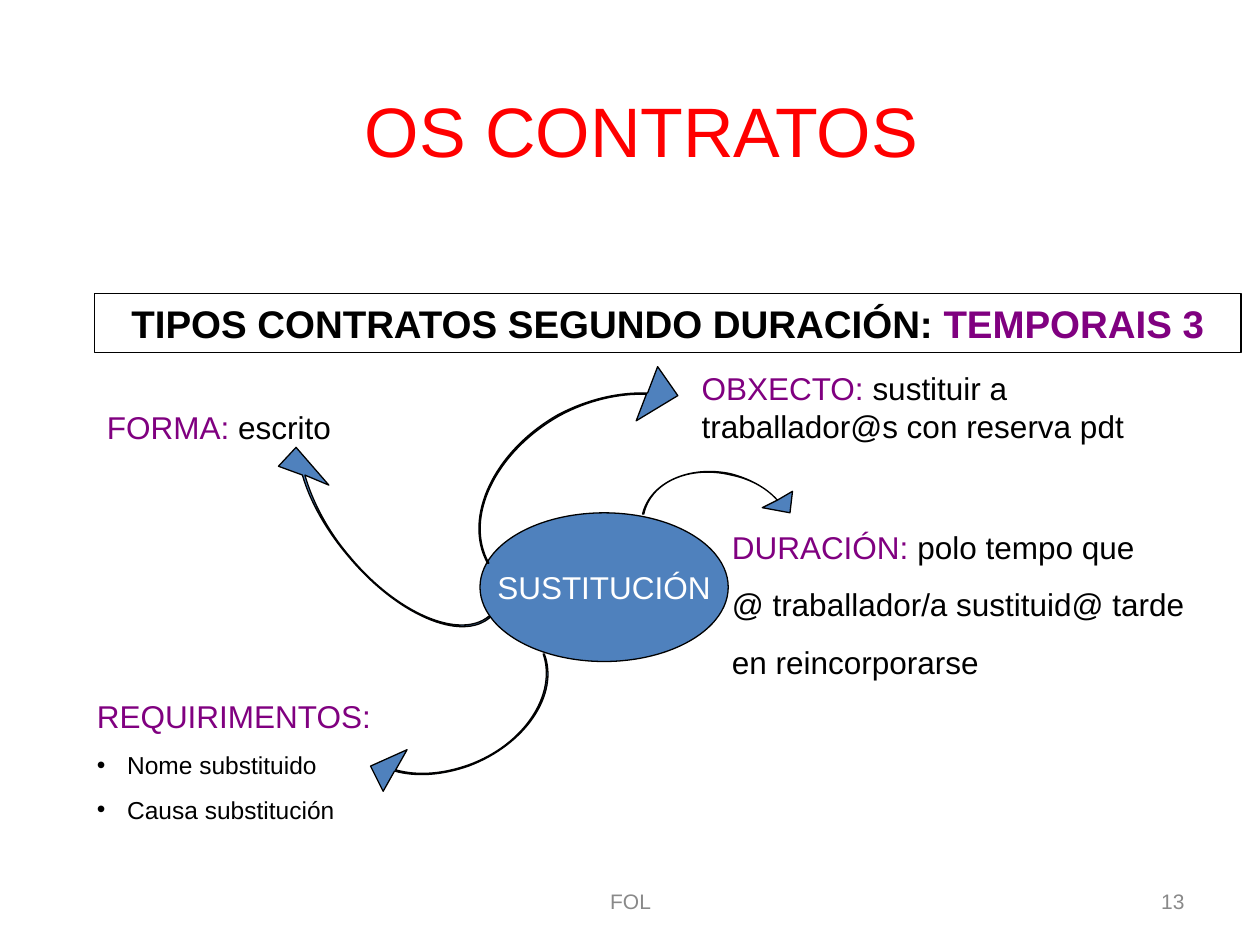
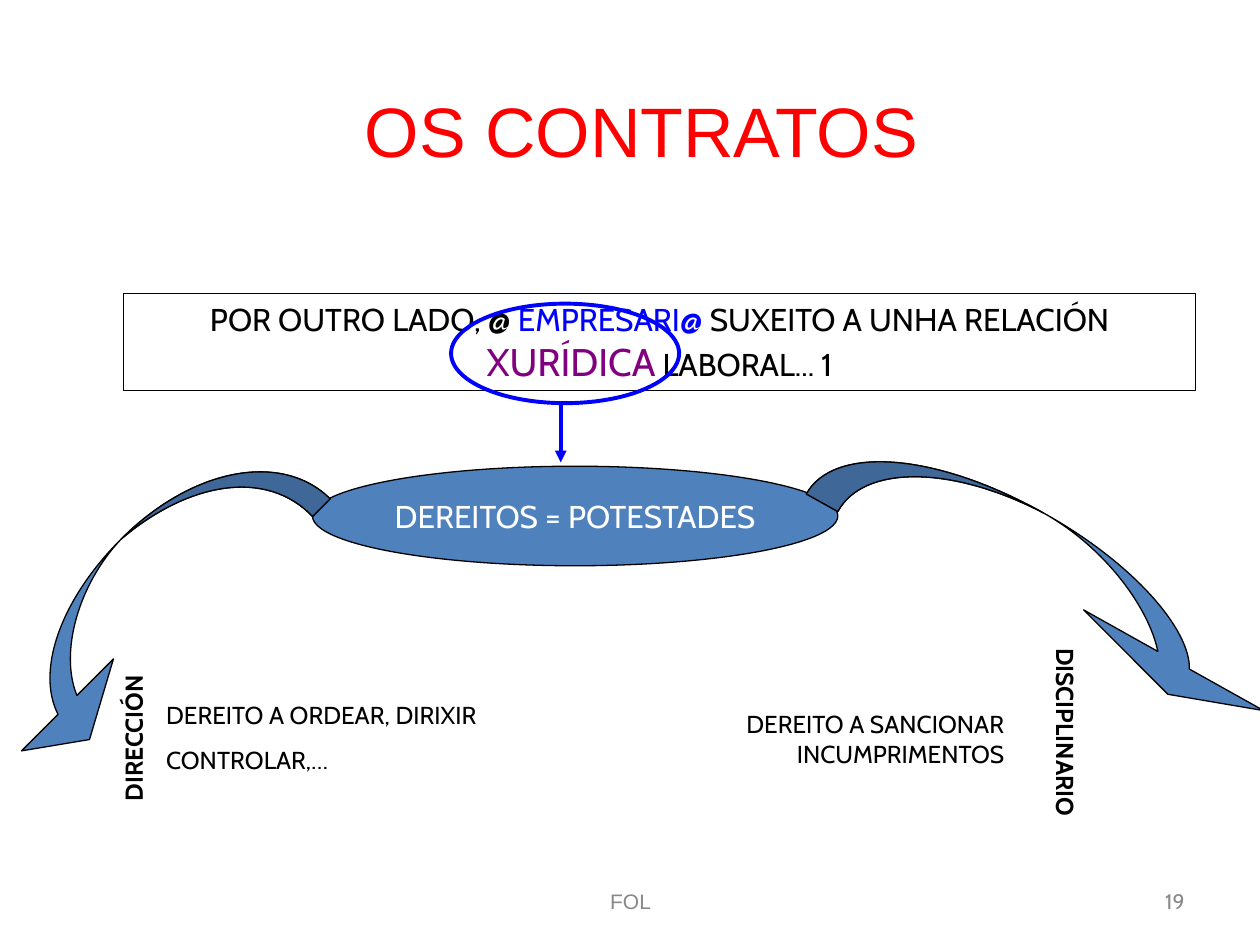
from dataclasses import dataclass
from math import cos, radians, sin
from typing import NamedTuple

from lxml import etree
from pptx import Presentation
from pptx.dml.color import RGBColor
from pptx.enum.shapes import MSO_CONNECTOR, MSO_SHAPE
from pptx.enum.text import MSO_ANCHOR, PP_ALIGN
from pptx.oxml.ns import qn
from pptx.util import Cm, Length, Pt

RECT, OVAL = MSO_SHAPE.RECTANGLE, MSO_SHAPE.OVAL
STRAIGHT = MSO_CONNECTOR.STRAIGHT
LEFT, MID, RIGHT = PP_ALIGN.LEFT, PP_ALIGN.CENTER, PP_ALIGN.RIGHT
TOP, CORE = MSO_ANCHOR.TOP, MSO_ANCHOR.MIDDLE
ARIAL, CABIN = "Arial", "Cabin"
CM_PER_INCH = 2.54
COLORS = {
    "black": "000000", "white": "FFFFFF", "red": "FF0000", "gray": "898989",
    "plum": "800080", "blue": "0000FF", "steel": "4F81BD",
}

Seg = tuple[float, ...]
Rect = tuple[float, float, float, float]


class Run(NamedTuple):
    text: str
    color: str = "black"
    size: float = 18
    bold: bool = False


class Para(NamedTuple):
    runs: list[Run]
    before: float = 11.2
    bullet: bool = False


@dataclass
class Block:
    at: Rect
    paras: list[Para]
    font: str = ARIAL
    align: PP_ALIGN = LEFT
    anchor: MSO_ANCHOR = TOP
    wrap: bool = True
    turn: float = 0
    kind: MSO_SHAPE | None = None
    fill: str | None = None
    line: str = "black"
    weight: float = 0.75


@dataclass
class Curve:
    at: Rect
    turn: float
    segs: list[Seg]
    fold: bool = False


def size(value: float) -> Length:
    return Cm(value * CM_PER_INCH)


def tint(name: str) -> RGBColor:
    return RGBColor.from_string(COLORS[name])


def put(target, values: dict) -> None:
    for name, value in values.items():
        setattr(target, name, value)


def paint(shape, fill: str | None, line: str, weight: float) -> None:
    shape.shadow.inherit = False
    if fill:
        shape.fill.solid()
        shape.fill.fore_color.rgb = tint(fill)
    else:
        shape.fill.background()
    shape.line.color.rgb = tint(line)
    shape.line.width = Pt(weight)


def mark(para) -> None:
    props = para._p.get_or_add_pPr()
    gap = size(0.24)
    props.set("marL", str(gap))
    props.set("indent", str(-gap))
    etree.SubElement(props, qn("a:buFont")).set("typeface", ARIAL)
    etree.SubElement(props, qn("a:buChar")).set("char", "•")


def write(frame, block: Block) -> None:
    put(frame, {
        "word_wrap": block.wrap, "vertical_anchor": block.anchor,
        "margin_left": size(0.1), "margin_right": size(0.1),
        "margin_top": size(0.05), "margin_bottom": size(0.05),
    })
    for i, item in enumerate(block.paras):
        para = frame.add_paragraph() if i else frame.paragraphs[0]
        put(para, {"alignment": block.align, "space_before": Pt(item.before)})
        if item.bullet:
            mark(para)
        for part in item.runs:
            run = para.add_run()
            run.text = part.text
            put(run.font, {"name": block.font, "size": Pt(part.size), "bold": part.bold})
            run.font.color.rgb = tint(part.color)


def draw(slide, block: Block) -> None:
    spot = [size(v) for v in block.at]
    if block.kind is None:
        shape = slide.shapes.add_textbox(*spot)
    else:
        shape = slide.shapes.add_shape(block.kind, *spot)
        paint(shape, block.fill, block.line, block.weight)
    shape.rotation = block.turn
    write(shape.text_frame, block)


def local(item: Curve, x: float, y: float) -> tuple[Length, Length]:
    left, top, wide, high = item.at
    dx, dy = x - left - wide / 2, y - top - high / 2
    c, s = cos(radians(item.turn)), sin(radians(item.turn))
    return size(dx * c + dy * s + wide / 2), size(dy * c - dx * s + high / 2)


def trace(parent, item: Curve, segs: list[Seg], shade: str) -> None:
    route = etree.SubElement(parent, qn("a:path"))
    put_size = {"w": item.at[2], "h": item.at[3]}
    for name, value in put_size.items():
        route.set(name, str(size(value)))
    route.set("fill", shade)
    for i, seg in enumerate(segs):
        tag = "a:cubicBezTo" if len(seg) == 6 else "a:lnTo" if i else "a:moveTo"
        step = etree.SubElement(route, qn(tag))
        for x, y in zip(seg[::2], seg[1::2]):
            dot = etree.SubElement(step, qn("a:pt"))
            for name, value in zip("xy", local(item, x, y)):
                dot.set(name, str(value))
    etree.SubElement(route, qn("a:close"))


def bend(slide, item: Curve) -> None:
    ends = [local(item, *seg[-2:]) for seg in item.segs]
    pen = slide.shapes.build_freeform(*ends[0])
    pen.add_line_segments(ends[1:], close=True)
    shape = pen.convert_to_shape()
    put(shape, dict(zip(("left", "top", "width", "height"), map(size, item.at))))
    shape.rotation = item.turn
    paint(shape, "steel", "black", 0.75)
    routes = shape._element.spPr.find(qn("a:custGeom")).find(qn("a:pathLst"))
    routes.clear()
    trace(routes, item, item.segs, "norm")
    if item.fold:
        trace(routes, item, item.segs[:2] + item.segs[-1:], "darkenLess")


def arrow(slide, start: tuple[float, float], end: tuple[float, float]) -> None:
    link = slide.shapes.add_connector(STRAIGHT, *map(size, start + end))
    link.line.color.rgb = tint("blue")
    link.line.width = Pt(2.25)
    etree.SubElement(link.line._get_or_add_ln(), qn("a:tailEnd")).set("type", "triangle")
    etree.SubElement(link._element.spPr, qn("a:effectLst"))


def plain(text: str, color: str = "black", points: float = 18,
          bold: bool = False, before: float = 0, bullet: bool = False) -> Para:
    return Para([Run(text, color, points, bold)], before, bullet)


def topic(head: str, text: str) -> Para:
    return Para([Run(head, "plum"), Run(text)])


def start(deck, number: str, font: str):
    slide = deck.slides.add_slide(deck.slide_layouts[6])
    for block in (
        Block((0.83, 0.23, 8.52, 1.6), [plain("OS CONTRATOS", "red", 40)],
              align=MID, anchor=CORE),
        Block((3.42, 6.95, 3.17, 0.4), [plain("FOL", "gray", 12)],
              align=MID, anchor=CORE),
        Block((7.17, 6.95, 2.33, 0.4), [plain(number, "gray", 12)], font,
              align=RIGHT, anchor=CORE),
    ):
        draw(slide, block)
    return slide


HUB = [
    Block((0.75, 2.33, 9.1, 0.47),
          [Para([Run("TIPOS CONTRATOS SEGUNDO DURACIÓN: ", "black", 22, True),
                 Run("TEMPORAIS 3", "plum", 22, True)], 0)],
          align=MID, anchor=CORE, wrap=False, kind=RECT),
    Block((3.81, 4.07, 1.97, 1.18), [plain("SUSTITUCIÓN", "white")],
          align=MID, anchor=CORE, wrap=False, kind=OVAL, fill="steel"),
]
TOPICS = [
    Block((5.71, 4.14, 5.08, 1.32),
          [topic("DURACIÓN: ", "polo tempo que"),
           plain("@ traballador/a sustituid@ tarde", before=11.2),
           plain("en reincorporarse", before=11.2)]),
    Block((0.75, 3.19, 3.31, 0.4), [topic("FORMA: ", "escrito")]),
    Block((0.67, 5.48, 4.49, 1.11),
          [plain("REQUIRIMENTOS:", "plum", before=11.2)]
          + [plain(text, points=14, before=8.8, bullet=True)
             for text in ("Nome substituido", "Causa substitución")]),
    Block((5.47, 2.88, 3.7, 0.7),
          [topic("OBXECTO: ", "sustituir a traballador@s con reserva pdt")]),
]
HOOKS = [
    Curve((2.09, 3.51, 2.19, 1.1), 230, [
        (2.42, 3.77), (2.48, 3.98, 2.6, 4.21, 2.77, 4.41),
        (3.15, 4.87, 3.65, 5.08, 3.88, 4.89), (3.89, 4.9),
        (3.66, 5.1, 3.15, 4.88, 2.76, 4.41), (2.59, 4.21, 2.46, 3.98, 2.4, 3.77),
        (2.21, 3.7), (2.35, 3.55), (2.61, 3.85)]),
    Curve((2.64, 4.85, 1.73, 1.26), 160, [
        (3.14, 6.11), (3.32, 6.16, 3.52, 6.14, 3.72, 6.07),
        (4.16, 5.91, 4.42, 5.51, 4.31, 5.19), (4.32, 5.19),
        (4.44, 5.51, 4.17, 5.91, 3.72, 6.08), (3.52, 6.15, 3.31, 6.17, 3.13, 6.12),
        (3.04, 6.28), (2.94, 6.08), (3.23, 5.95)]),
    Curve((5.08, 3.75, 1.23, 0.94), 13, [
        (6.17, 3.97), (6.08, 3.87, 5.95, 3.8, 5.8, 3.77),
        (5.47, 3.69, 5.16, 3.83, 5.11, 4.08), (5.1, 4.08),
        (5.16, 3.83, 5.47, 3.69, 5.8, 3.76), (5.95, 3.8, 6.08, 3.87, 6.17, 3.97),
        (6.29, 3.9), (6.27, 4.07), (6.05, 4.03)]),
    Curve((3.74, 3.2, 2.13, 1.52), 331, [
        (5.13, 3.13), (4.91, 3.12, 4.66, 3.18, 4.44, 3.3),
        (3.93, 3.59, 3.68, 4.11, 3.88, 4.47), (3.87, 4.47),
        (3.67, 4.11, 3.92, 3.58, 4.43, 3.29), (4.66, 3.17, 4.91, 3.11, 5.14, 3.12),
        (5.22, 2.91), (5.38, 3.14), (5.05, 3.34)]),
]

POWERS = [
    Block((0.98, 2.33, 8.51, 0.77),
          [Para([Run("POR OUTRO LADO, @ "), Run("EMPRESARI@", "blue"),
                 Run(" SUXEITO A UNHA RELACIÓN "), Run("XURÍDICA", "plum", 22),
                 Run(" LABORAL... 1")])], CABIN, align=MID, kind=RECT),
    Block((3.58, 2.41, 1.81, 0.79), [], kind=OVAL, line="blue", weight=2.25),
    Block((2.48, 3.7, 4.17, 0.79), [plain("DEREITOS = POTESTADES", "white")], CABIN,
          align=MID, anchor=CORE, wrap=False, kind=OVAL, fill="steel"),
]
RIGHTS = [
    Block((1.22, 5.51, 3.39, 0.69),
          [plain(text, points=14, before=8.8)
           for text in ("DEREITO A ORDEAR, DIRIXIR", "CONTROLAR,…")], CABIN),
    Block((0.31, 5.54, 1.5, 0.34), [plain("DIRECCIÓN", "black", 14, True, 8.8)],
          CABIN, turn=270),
    Block((7.25, 6.08, 2.41, 0.34), [plain("DISCIPLINARIO", "black", 14, True, 8.8)],
          CABIN, turn=90),
    Block((4.21, 5.58, 3.86, 0.57),
          [plain("DEREITO A SANCIONAR INCUMPRIMENTOS", points=14, before=8.8)],
          CABIN, align=RIGHT),
]
BANDS = [
    Curve((0.67, 3.15, 0.95, 3.23), 45, [
        (2.62, 3.96), (2.25, 3.59, 1.54, 3.7, 0.96, 4.28),
        (0.46, 4.78, 0.29, 5.34, 0.46, 5.67), (0.17, 5.96), (0.71, 5.87), (0.9, 5.23),
        (0.61, 5.52), (0.47, 5.18, 0.62, 4.64, 0.96, 4.28),
        (1.5, 3.82, 2.12, 3.72, 2.48, 4.1)], True),
    Curve((7.99, 2.52, 0.79, 4.1), 299, [
        (6.4, 3.92), (6.61, 3.54, 7.4, 3.58, 8.28, 4.07),
        (9, 4.47, 9.45, 5, 9.44, 5.31), (10.03, 5.64), (9.27, 5.51), (8.6, 4.84),
        (9.19, 5.17), (9.12, 4.83, 8.78, 4.35, 8.28, 4.07),
        (7.55, 3.69, 6.85, 3.69, 6.65, 4.06)], True),
]


def main() -> None:
    deck = Presentation()
    put(deck, {"slide_width": size(10), "slide_height": size(7.5)})

    slide = start(deck, "13", ARIAL)
    for block in HUB:
        draw(slide, block)
    for hook in HOOKS:
        bend(slide, hook)
    for block in TOPICS:
        draw(slide, block)

    slide = start(deck, "19", CABIN)
    for block in POWERS:
        draw(slide, block)
    arrow(slide, (4.45, 3.2), (4.45, 3.67))
    for band in BANDS:
        bend(slide, band)
    for block in RIGHTS:
        draw(slide, block)

    deck.save("out.pptx")


if __name__ == "__main__":
    main()
